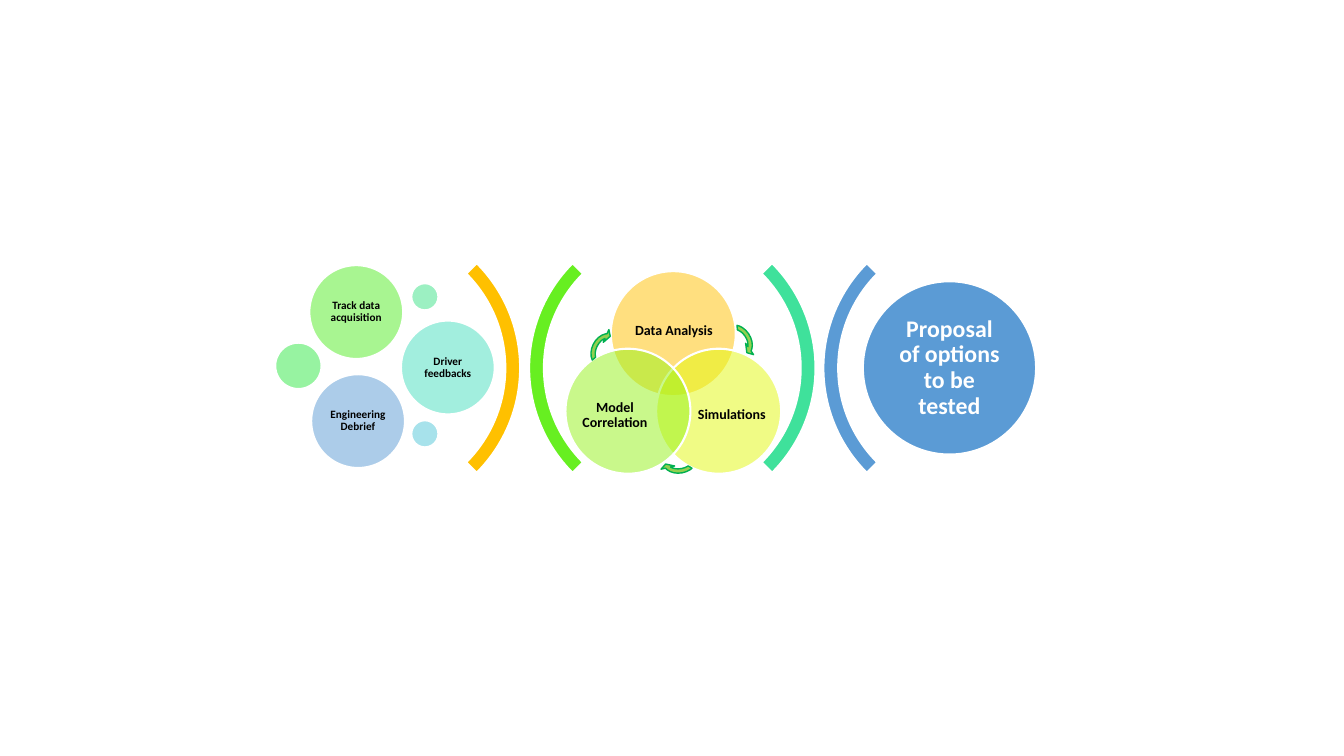
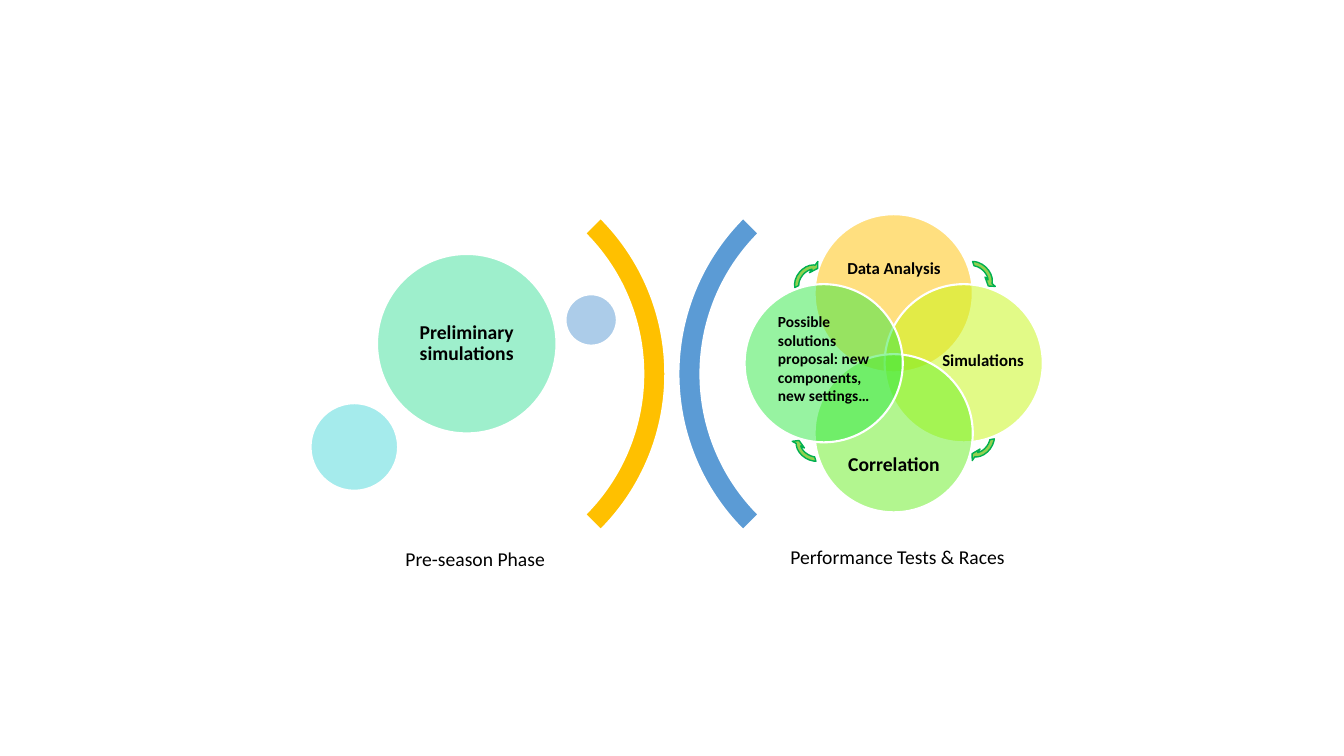
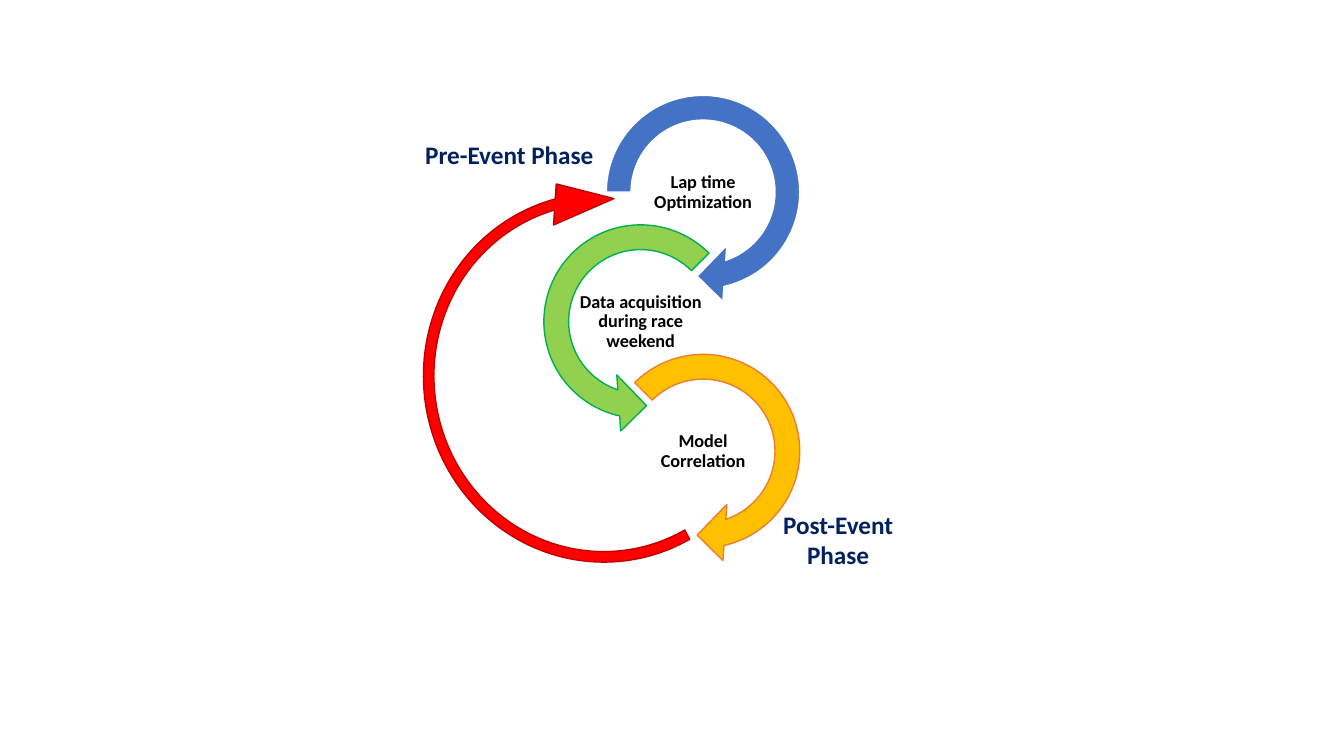
from lxml import etree
from pptx import Presentation
from pptx.dml.color import RGBColor
from pptx.enum import shapes, text
from pptx.oxml.ns import qn
from pptx.util import Pt

COLORS = {
    "white": "FFFFFF", "black": "000000", "navy": "002060",
    "amber": "FFC000", "orange": "ED7D31", "yellow": "E3F90C",
    "lemon": "C7F711", "lime": "94F319", "green": "67EF21",
    "leaf": "52ED24", "emerald": "30E845", "mint": "3BE287",
    "jade": "3FE19B", "turquoise": "46DEBF", "aqua": "4DD8DB",
    "cyan": "51C7D9", "sky": "5B9BD5", "blue": "4472C4",
    "arrow": "92D050", "arrow_edge": "00B050",
    "red": "FF0000", "dark_red": "C00000",
}
SHAPE = shapes.MSO_SHAPE
CENTER = text.PP_ALIGN.CENTER
MIDDLE = text.MSO_ANCHOR.MIDDLE


class Deck:
    font_name = "Calibri"
    tight_spacing = 0.9

    def __init__(self):
        self.presentation = Presentation()
        self.presentation.slide_width = Pt(960)
        self.presentation.slide_height = Pt(540)
        self.slide = None

    def new_slide(self):
        layout = self.presentation.slide_layouts[6]
        self.slide = self.presentation.slides.add_slide(layout)

    def color(self, name):
        return RGBColor.from_string(COLORS[name])

    def shape(self, kind, box, fill, line="white", weight=1.5, rotation=0):
        shape = self.slide.shapes.add_shape(kind, *map(Pt, box))
        shape.shadow.inherit = False
        shape.fill.solid()
        shape.fill.fore_color.rgb = self.color(fill)
        shape.line.color.rgb = self.color(line)
        shape.line.width = Pt(weight)
        shape.rotation = rotation
        return shape

    def bracket(self, left, top, size, fill, rotation):
        arc = self.shape(SHAPE.BLOCK_ARC, (left, top, size, size), fill,
                         rotation=rotation)
        for index, value in enumerate((225 * 0.6, 315 * 0.6, 0.05)):
            arc.adjustments[index] = value

    def circle(self, left, top, size, fill, words="", font_size=8, inset=2.2,
               opacity=50, color="black"):
        circle = self.shape(SHAPE.OVAL, (left, top, size, size), fill)
        if opacity < 100:
            fill_color = circle.element.spPr.find(qn("a:solidFill"))[0]
            alpha = etree.SubElement(fill_color, qn("a:alpha"))
            alpha.set("val", str(opacity * 1000))
        if words:
            self.set_words(circle, words, font_size, color=color,
                           insets=(inset, inset))

    def ring_arrow(self, box, fill, line, band, angles, head, rotation=0,
                   kind=SHAPE.CIRCULAR_ARROW):
        arrow = self.shape(kind, box, fill, line, 1, rotation)
        values = [band / 100, *(angle * 0.6 for angle in angles), head / 100]
        for index, value in enumerate(values):
            arrow.adjustments[index] = value

    def cycle_arrow(self, left, top, rotation, angles):
        self.ring_arrow((left, top, 31, 24.5), "arrow", "arrow_edge", 12.5,
                        angles, 20.3, rotation)

    def set_words(self, shape, words, font_size, bold=True, color="black",
                  align=CENTER, anchor=MIDDLE, insets=(0, 0),
                  spacing=tight_spacing, wrap=True):
        frame = shape.text_frame
        frame.word_wrap = wrap
        frame.vertical_anchor = anchor
        frame.margin_left = frame.margin_right = Pt(insets[0])
        frame.margin_top = frame.margin_bottom = Pt(insets[1])
        paragraph = frame.paragraphs[0]
        paragraph.text = words
        paragraph.alignment = align
        paragraph.line_spacing = spacing
        font = paragraph.font
        font.name = self.font_name
        font.size = Pt(font_size)
        font.bold = bold
        font.color.rgb = self.color(color)

    def label(self, box, words, font_size, **style):
        textbox = self.slide.shapes.add_textbox(*map(Pt, box))
        self.set_words(textbox, words, font_size, **style)
        return textbox

    def note(self, box, words, font_size, color="black",
             align=text.PP_ALIGN.LEFT, wrap=True):
        textbox = self.label(box, words, font_size, color=color, align=align,
                             anchor=text.MSO_ANCHOR.TOP, insets=(7.2, 3.6),
                             spacing=1.0, wrap=wrap)
        textbox.text_frame.auto_size = text.MSO_AUTO_SIZE.SHAPE_TO_FIT_TEXT


RIGHT_TURN = (18.52, 340.96, 209.32)
BOTTOM_TURN = (16.48, 340.96, 222.92)
LEFT_TURN = (16.48, 340.96, 203.08)

deck = Deck()


def testing_process():
    deck.new_slide()
    for left, fill, rotation in ((159.8, "amber", 90), (378, "green", 270),
                                 (370.8, "jade", 90), (588.2, "sky", 270)):
        deck.bracket(left, 157, 211.7, fill, rotation)

    for left, top, fill in ((436.3, 193.7, "amber"), (468.7, 249.1, "yellow"),
                            (403.9, 249.1, "lime")):
        deck.circle(left, top, 89.3, fill)
    deck.label((448.6, 216, 65.5, 40.3), "Data Analysis", 10)
    deck.label((496.1, 272.2, 53.3, 49), "Simulations", 10)
    deck.label((412.6, 272.2, 53.3, 49), "Model Correlation", 10)

    for left, top, size, fill, words in (
            (221, 189.4, 67, "leaf", "Track data acquisition"),
            (196.6, 244.8, 33.1, "emerald", ""),
            (293.8, 202.3, 19.4, "mint", ""),
            (286.4, 229, 67, "turquoise", "Driver feedbacks"),
            (293.8, 300.2, 19.4, "cyan", ""),
            (222.3, 267.3, 67, "sky", "Engineering Debrief")):
        deck.circle(left, top, size, fill, words)
    deck.circle(616.3, 200.9, 123.8, "sky", "Proposal of options to be tested",
                17, inset=5, opacity=100, color="white")

    deck.cycle_arrow(511.9, 231.1, 55.5, RIGHT_TURN)
    deck.cycle_arrow(470.2, 316.8, 169.4, BOTTOM_TURN)
    deck.cycle_arrow(416.2, 237.6, 296.4, LEFT_TURN)


def season_phases():
    deck.new_slide()
    deck.bracket(159.8, 109.4, 315.4, "amber", 90)
    deck.bracket(484.6, 109.4, 315.4, "sky", 270)

    center_left, center_top, step = 581.9, 203, 50
    for column, row, fill in ((0, -1, "amber"), (1, 0, "lemon"),
                              (0, 1, "green"), (-1, 0, "emerald")):
        deck.circle(center_left + column * step, center_top + row * step, 113, fill)
    deck.label((595.4, 174.5, 86.4, 36), "Data Analysis", 12)
    deck.label((595.4, 314.6, 86.4, 36), "Correlation", 14)

    deck.circle(269.3, 181.4, 128.2, "jade", "Preliminary simulations", 14, inset=4.3)
    deck.circle(221.8, 288, 62.6, "aqua")
    deck.circle(403.9, 210.2, 36.7, "sky")

    phase = {"bold": False, "insets": (4.3, 4.3)}
    deck.label((219.6, 385.2, 239.8, 29.5), "Pre-season Phase", 14, **phase)
    deck.label((521.3, 385.9, 239.8, 25.2), "Performance Tests & Races", 14, **phase)

    for left, top, rotation, angles in ((682.6, 185, 42.8, RIGHT_TURN),
                                        (684.7, 303.1, 126.5, BOTTOM_TURN),
                                        (562.3, 187.9, 309.2, LEFT_TURN),
                                        (564.5, 307.4, 211.1, BOTTOM_TURN)):
        deck.cycle_arrow(left, top, rotation, angles)
    deck.note((548.6, 219.6, 82.8, 87.1),
              "Possible solutions proposal: new components, new settings…", 11)
    deck.note((666, 246.2, 82.8, 36), "Simulations", 12)


def event_loop():
    deck.new_slide()
    right, left = SHAPE.CIRCULAR_ARROW, SHAPE.LEFT_CIRCULAR_ARROW
    stages = (
        (421.9, right, "blue", "white", (75, 180), "Lap time Optimization"),
        (377.3, left, "arrow", "arrow_edge", (105, 315),
         "Data acquisition during race weekend"),
        (421.9, right, "amber", "orange", (75, 225), "Model Correlation"),
    )
    for index, (x, kind, fill, line, angles, words) in enumerate(stages):
        y = 56.9 + index * 92.5
        deck.ring_arrow((x, y, 160.6, 160.6), fill, line, 11,
                        (19.04, *angles), 12.5, kind=kind)
        deck.label((x + 35.3, y + 58.3, 90, 44.6), words, 13, insets=(0.9, 0.9))

    deck.ring_arrow((287.3, 131, 285.8, 277.2), "red", "dark_red", 2.7,
                    (19.04, 352.19, 159.09), 5.3, rotation=262.5)
    deck.note((296.6, 95.8, 135.4, 28.8), "Pre-Event Phase", 18, "navy", wrap=False)
    deck.note((551.5, 360, 94.3, 51.1), "Post-Event Phase", 18, "navy", CENTER)


testing_process()
season_phases()
event_loop()
deck.presentation.save("out.pptx")
